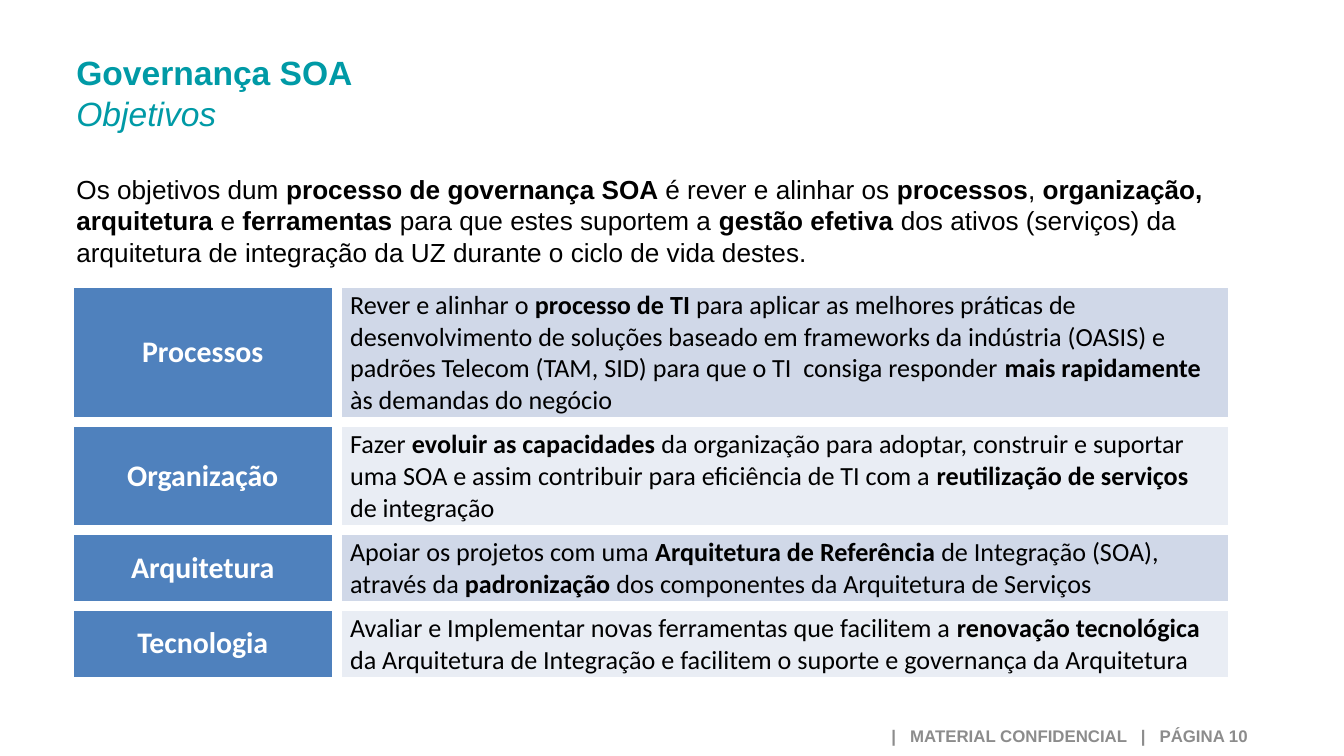
import pptx
import pptx.util
import pptx.dml.color
import pptx.enum.text
import pptx.oxml
import pptx.oxml.ns
import lxml.etree

RGB = pptx.dml.color.RGBColor
TEAL = RGB(0x00, 0x9A, 0xA6)
GRAY = RGB(0x8C, 0x8C, 0x8C)
BLACK = RGB(0, 0, 0)
WHITE = RGB(0xFF, 0xFF, 0xFF)
BLUE = RGB(0x4F, 0x81, 0xBD)
BANDS = (RGB(0xD0, 0xD8, 0xE8), RGB(0xE9, 0xED, 0xF4))
ALIGN = pptx.enum.text.PP_ALIGN
ANCHOR = pptx.enum.text.MSO_ANCHOR
WIDE = pptx.util.Inches(10)
HIGH = WIDE * 9 // 16

INTRO = (
    "Os objetivos dum *processo de governança SOA *é rever e alinhar os "
    "*processos*, *organização, arquitetura *e *ferramentas *para que estes "
    "suportem a *gestão efetiva *dos ativos (serviços) da arquitetura de "
    "integração da UZ durante o ciclo de vida destes."
)
GOALS = (
    ("Processos", 4,
     "Rever e alinhar o *processo de TI *para aplicar as melhores práticas de "
     "desenvolvimento de soluções baseado em frameworks da indústria (OASIS) e "
     "padrões Telecom (TAM, SID) para que o TI  consiga responder "
     "*mais rapidamente *às demandas do negócio"),
    ("Organização", 3,
     "Fazer *evoluir as capacidades *da organização para adoptar, construir e "
     "suportar uma SOA e assim contribuir para eficiência de TI com a "
     "*reutilização de serviços *de integração"),
    ("Arquitetura", 2,
     "Apoiar os projetos com uma *Arquitetura de Referência *de Integração "
     "(SOA), através da *padronização* dos componentes da Arquitetura de "
     "Serviços"),
    ("Tecnologia", 2,
     "Avaliar e Implementar novas ferramentas que facilitem a *renovação "
     "tecnológica *da Arquitetura de Integração e facilitem o suporte e "
     "governança da Arquitetura"),
)


def share(left, top, width, height):
    """Turn percentages of the slide into a box of lengths."""
    return (int(WIDE * left / 100), int(HIGH * top / 100),
            int(WIDE * width / 100), int(HIGH * height / 100))


def write(para, text, size, face, color, italic=False):
    """Add runs to a paragraph, with bold between asterisks."""
    for index, part in enumerate(text.split("*")):
        if part:
            run = para.add_run()
            run.text = part
            run.font.size = pptx.util.Pt(size)
            run.font.name = face
            run.font.bold = index % 2 == 1
            run.font.italic = italic
            run.font.color.rgb = color


def frame(slide, box, anchor=ANCHOR.TOP):
    """Add a wrapping text box and return its first paragraph."""
    text = slide.shapes.add_textbox(*box).text_frame
    text.word_wrap = True
    text.vertical_anchor = anchor
    return text.paragraphs[0]


def title(slide, box):
    """Place the heading and its subtitle."""
    para = frame(slide, box)
    write(para, "*Governança SOA*", 18, "Arial", TEAL)
    para.add_line_break()
    write(para, "Objetivos", 18, "Arial", TEAL, italic=True)


def intro(slide, box):
    """Place the opening paragraph."""
    write(frame(slide, box), INTRO, 14, "Arial", BLACK)


def footer(slide, box):
    """Place the page line."""
    para = frame(slide, box, ANCHOR.MIDDLE)
    para.alignment = ALIGN.RIGHT
    write(para, "* |   MATERIAL CONFIDENCIAL   |   PÁGINA 10*", 9, "Arial", GRAY)


def paint(cell, color, top, bottom):
    """Fill a cell, set its margins and give it thick white borders."""
    props = cell._tc.get_or_add_tcPr()
    for side in ("lnL", "lnR", "lnT", "lnB"):
        line = lxml.etree.SubElement(
            props, pptx.oxml.ns.qn("a:" + side), w=str(pptx.util.Pt(6)))
        solid = lxml.etree.SubElement(line, pptx.oxml.ns.qn("a:solidFill"))
        lxml.etree.SubElement(
            solid, pptx.oxml.ns.qn("a:srgbClr"), val=str(WHITE))
    cell.fill.solid()
    cell.fill.fore_color.rgb = color
    cell.margin_top = pptx.util.Inches(top)
    cell.margin_bottom = pptx.util.Inches(bottom)


def goals(slide, box):
    """Place the table, with row heights in step with their lines."""
    table = slide.shapes.add_table(len(GOALS), 2, *box).table
    width, height = box[2:]
    table.columns[0].width = int(width * 0.23)
    table.columns[1].width = width - table.columns[0].width
    pad = 0.4
    total = sum(lines + pad for _, lines, _ in GOALS)
    for index, (name, lines, text) in enumerate(GOALS):
        table.rows[index].height = int(height * (lines + pad) / total)
        head, body = table.cell(index, 0), table.cell(index, 1)
        paint(head, BLUE, 0.03, 0.03)
        paint(body, BANDS[index % 2], 0.05, 0.02)
        head.vertical_anchor = ANCHOR.MIDDLE
        para = head.text_frame.paragraphs[0]
        para.alignment = ALIGN.CENTER
        write(para, f"*{name}*", 16, "Calibri", WHITE)
        write(body.text_frame.paragraphs[0], text, 14, "Calibri", BLACK)


def main():
    """Build and save the slide."""
    deck = pptx.Presentation()
    deck.slide_width, deck.slide_height = WIDE, HIGH
    slide = deck.slides.add_slide(deck.slide_layouts[6])
    footer(slide, share(51.6, 94.76, 42.2, 5.16))
    goals(slide, share(5.13, 37.4, 86.6, 52.8))
    intro(slide, share(4.7, 22.04, 89.1, 14.4))
    title(slide, share(4.7, 6.04, 74, 12.62))
    deck.save("out.pptx")


if __name__ == "__main__":
    main()
